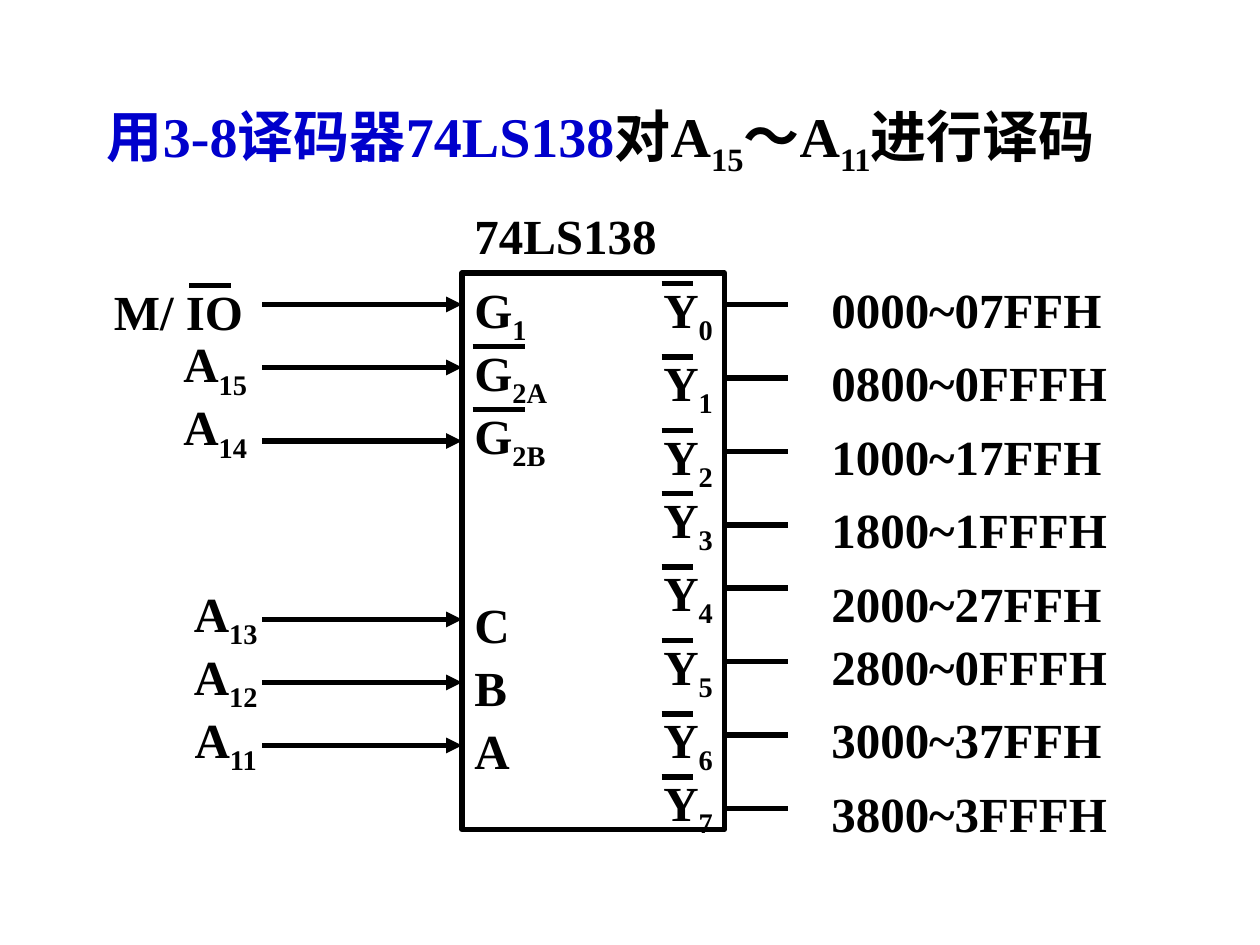
from dataclasses import dataclass
from lxml.etree import SubElement
from pptx import Presentation
from pptx.dml.color import RGBColor
from pptx.enum.shapes import MSO_CONNECTOR, MSO_SHAPE
from pptx.enum.text import MSO_AUTO_SIZE, PP_ALIGN
from pptx.oxml.ns import qn
from pptx.util import Cm, Pt


@dataclass(frozen=True)
class Theme:
    font: str = "Times New Roman"
    ink: RGBColor = RGBColor(0, 0, 0)
    accent: RGBColor = RGBColor(0, 0, 0xCC)
    title: Pt = Pt(32)
    label: Pt = Pt(28)
    line: Pt = Pt(3)


def grid(n):
    """The diagram sits on a grid of twelve steps to the inch."""
    return Cm(n * 2.54 / 12)


def set_all(target, values):
    for name, value in values.items():
        setattr(target, name, value)


class Diagram:
    def __init__(self, slide, theme):
        self.s, self.theme = slide, theme

    def text(self, x, y, w, h, runs, size=None, align=PP_ALIGN.LEFT,
             auto_size=MSO_AUTO_SIZE.SHAPE_TO_FIT_TEXT):
        """Runs are (text, colour, is_subscript)."""
        sp = self.s.shapes.add_textbox(*map(grid, (x, y, w, h)))
        tf = sp.text_frame
        set_all(tf, {"word_wrap": True, "auto_size": auto_size})
        p = tf.paragraphs[0]
        p.alignment = align
        for words, colour, is_sub in runs:
            r = p.add_run()
            r.text = words
            set_all(r.font, {"name": self.theme.font, "bold": True,
                             "size": size or self.theme.label})
            r.font.color.rgb = colour
            if is_sub:
                r.font._element.set("baseline", "-25000")
        return p

    def label(self, x, y, w, name, align=PP_ALIGN.LEFT):
        """A name such as A_15 has its part after _ as a subscript."""
        base, _, sub = name.partition("_")
        runs = [(base, self.theme.ink, False)]
        if sub:
            runs.append((sub, self.theme.ink, True))
        self.text(x, y, w, 7.5 if sub else 6.8, runs, align=align)

    def title(self, runs):
        p = self.text(9, 9.1, 104, 16, runs, self.theme.title,
                      auto_size=MSO_AUTO_SIZE.NONE)
        indent = Cm(0.95)
        pPr = p._p.get_or_add_pPr()
        pPr.set("marL", str(indent))
        pPr.set("indent", str(-indent))

    def box(self, x, y, w, h):
        sp = self.s.shapes.add_shape(MSO_SHAPE.RECTANGLE, *map(grid, (x, y, w, h)))
        sp.shadow.inherit = False
        sp.fill.background()
        sp.line.color.rgb = self.theme.ink
        sp.line.width = self.theme.line

    def line(self, x1, x2, y, arrow=False):
        sp = self.s.shapes.add_connector(
            MSO_CONNECTOR.STRAIGHT, *map(grid, (x1, y, x2, y)))
        sp.line.color.rgb = self.theme.ink
        sp.line.width = self.theme.line
        if arrow:
            SubElement(sp.line._get_or_add_ln(), qn("a:tailEnd"), type="triangle")
        SubElement(sp._element.spPr, qn("a:effectLst"))


# Chip edges, in grid steps
LEFT, RIGHT, TOP, HEIGHT = 44, 69, 26, 53

# Signal, its left, top and width; arrow height; pin, its top
INPUTS = [
    ("M/ IO", 8, 26.2, 18, 29, "G_1", 26),
    ("A_15", 14, 31.2, 13, 35, "G_2A", 32),
    ("A_14", 14, 37.2, 13, 42, "G_2B", 38),
    ("A_13", 15, 55, 13, 59, "C", 56),
    ("A_12", 15, 61, 13, 65, "B", 62),
    ("A_11", 15, 67, 13, 71, "A", 68),
]

# Pin top, lead height, range top, address range
OUTPUTS = [
    (26, 29, 26, "0000~07FFH"),
    (33, 36, 33, "0800~0FFFH"),
    (40, 43, 40, "1000~17FFH"),
    (46, 50, 47, "1800~1FFFH"),
    (53, 56, 54, "2000~27FFH"),
    (60, 63, 60, "2800~0FFFH"),
    (67, 70, 67, "3000~37FFH"),
    (73, 77, 74, "3800~3FFFH"),
]


def main():
    prs = Presentation()
    set_all(prs, {"slide_width": Cm(25.4), "slide_height": Cm(19.05)})
    theme = Theme()
    d = Diagram(prs.slides.add_slide(prs.slide_layouts[6]), theme)

    # Title
    d.title([
        ("用3-8译码器74LS138", theme.accent, False),
        ("对A", theme.ink, False),
        ("15", theme.ink, True),
        ("～A", theme.ink, False),
        ("11", theme.ink, True),
        ("进行译码", theme.ink, False),
    ])

    # Chip
    d.box(LEFT, TOP, RIGHT - LEFT, HEIGHT)
    d.label(LEFT, 19, 22, "74LS138")

    # Inputs, with bars over the active-low pins
    for signal, x, y, w, arrow_y, pin, pin_y in INPUTS:
        d.label(x, y, w, signal, PP_ALIGN.CENTER)
        d.line(25, LEFT, arrow_y, arrow=True)
        d.label(LEFT, pin_y, 15, pin)
        if pin.startswith("G_2"):
            d.line(LEFT + 1, LEFT + 6, pin_y + 1)
    d.line(18, 22, 27.2)

    # Outputs and their address ranges
    for i, (pin_y, lead_y, range_y, addresses) in enumerate(OUTPUTS):
        d.label(62, pin_y, 9, f"Y_{i}")
        d.line(63, 66, pin_y + 1)
        d.line(RIGHT, RIGHT + 6, lead_y)
        d.label(78, range_y, 33, addresses)

    prs.save("out.pptx")


if __name__ == "__main__":
    main()
